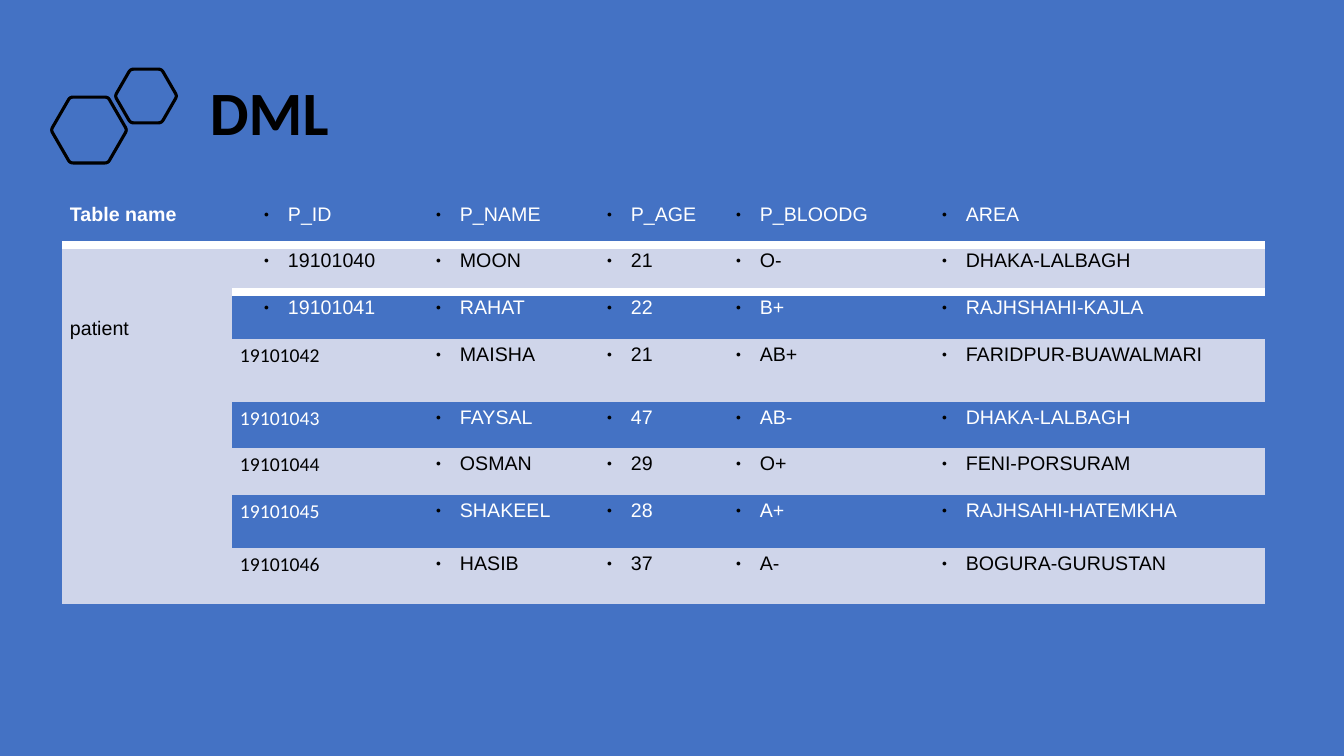
import math
from itertools import accumulate, pairwise

from lxml import etree
from pptx import Presentation, util as u
from pptx.dml.color import RGBColor
from pptx.enum import shapes, text
from pptx.oxml.ns import qn

# Content
TITLE = "DML"
HEADER = ("Table name", "P_ID", "P_NAME", "P_AGE", "P_BLOODG", "AREA")
GROUP = "patient"
PATIENTS = [
    ("19101040", "MOON", "21", "O-", "DHAKA-LALBAGH"),
    ("19101041", "RAHAT", "22", "B+", "RAJHSHAHI-KAJLA"),
    ("19101042", "MAISHA", "21", "AB+", "FARIDPUR-BUAWALMARI"),
    ("19101043", "FAYSAL", "47", "AB-", "DHAKA-LALBAGH"),
    ("19101044", "OSMAN", "29", "O+", "FENI-PORSURAM"),
    ("19101045", "SHAKEEL", "28", "A+", "RAJHSAHI-HATEMKHA"),
    ("19101046", "HASIB", "37", "A-", "BOGURA-GURUSTAN"),
]
C = {"blue": "4472C4", "pale": "CFD5EA", "white": "FFFFFF", "black": "000000"}

# Layout in px
W, H = 1344, 756
HEXAGONS = [(89, 130, 38), (146, 96, 31)]  # centre x, centre y, radius
CORNER = 3
COL_WIDTHS = (170, 196, 171, 129, 206, 331)
ROW_EDGES = (199, 245, 292, 339, 402, 448, 495, 548, 604)
TABLE_LEFT = 62
PAD_X, PAD_Y = 8, 5
INDENT = 24
GROUP_DROP = 68
NO_GRID = "{2D5ABB26-0587-4C30-8999-92F81FD0307C}"


def px(n):
    return u.Emu(round(n * 914400 / 100.8))


def rgb(name):
    return RGBColor.from_string(C[name])


def write(tf, words, size=14, font="Arial", color="black", bold=False, spacing=None):
    p = tf.paragraphs[0]
    p.line_spacing = spacing
    r = p.add_run()
    r.text = words
    r.font.size, r.font.name, r.font.bold = u.Pt(size), font, bold
    r.font.color.rgb = rgb(color)
    return p


def add_bullet(p, left):
    pPr = p._p.get_or_add_pPr()
    pPr.set("marL", str(px(left)))
    pPr.set("indent", str(px(-INDENT)))
    clr = etree.SubElement(pPr, qn("a:buClr"))
    etree.SubElement(clr, qn("a:srgbClr"), val=C["black"])
    etree.SubElement(pPr, qn("a:buSzPct"), val="45000")
    etree.SubElement(pPr, qn("a:buFont"), typeface="Arial")
    etree.SubElement(pPr, qn("a:buChar"), char="●")


def add_border(cell, side):
    tcPr = cell._tc.get_or_add_tcPr()
    ln = etree.Element(qn(f"a:{side}"), w=str(u.Pt(6)))
    fill = etree.SubElement(ln, qn("a:solidFill"))
    etree.SubElement(fill, qn("a:srgbClr"), val=C["white"])
    tcPr.insert(0, ln)


def rounded_hexagon(cx, cy, radius):
    points = []
    for k in range(6):
        a = math.radians(60 * k)
        x, y = cx + radius * math.cos(a), cy + radius * math.sin(a)
        # Points where the two sides leave the corner, then a curve between them
        (x0, y0), (x1, y1) = [
            (x + CORNER * math.cos(a + t), y + CORNER * math.sin(a + t))
            for t in (math.radians(-120), math.radians(120))
        ]
        for t in (0, 0.25, 0.5, 0.75, 1):
            m, n, q = (1 - t) ** 2, 2 * t * (1 - t), t ** 2
            points.append((px(m * x0 + n * x + q * x1), px(m * y0 + n * y + q * y1)))
    return points


prs = Presentation()
prs.slide_width, prs.slide_height = px(W), px(H)
s = prs.slides.add_slide(prs.slide_layouts[6])

# Backdrop
sp = s.shapes.add_shape(shapes.MSO_SHAPE.RECTANGLE, 0, 0, px(W), px(H))
sp.shadow.inherit = False
sp.fill.solid()
sp.fill.fore_color.rgb = rgb("blue")
sp.line.fill.background()

# Title
tf = s.shapes.add_textbox(px(200), px(57), px(1090), px(118)).text_frame
tf.word_wrap = True
tf.vertical_anchor = text.MSO_ANCHOR.MIDDLE
write(tf, TITLE, size=44, font="Calibri", bold=True, spacing=0.9)

# Hexagons
for hexagon in HEXAGONS:
    first, *rest = rounded_hexagon(*hexagon)
    builder = s.shapes.build_freeform(*first)
    builder.add_line_segments(rest, close=True)
    sp = builder.convert_to_shape()
    sp.shadow.inherit = False
    sp.fill.background()
    sp.line.color.rgb = rgb("black")
    sp.line.width = u.Pt(2.25)

# Table
rows = [HEADER] + [(GROUP if i == 0 else "", *row) for i, row in enumerate(PATIENTS)]
top, bottom = ROW_EDGES[0], ROW_EDGES[-1]
table = s.shapes.add_table(len(rows), len(HEADER), px(TABLE_LEFT), px(top),
                           px(sum(COL_WIDTHS)), px(bottom - top)).table
table.first_row = table.horz_banding = False
table._tbl.tblPr.find(qn("a:tableStyleId")).text = NO_GRID
col_edges = [0, *accumulate(COL_WIDTHS)]
for col, (a, b) in zip(table.columns, pairwise(col_edges)):
    col.width = px(b) - px(a)
for row, (a, b) in zip(table.rows, pairwise(ROW_EDGES)):
    row.height = px(b) - px(a)
table.cell(1, 0).merge(table.cell(len(PATIENTS), 0))

for i, row in enumerate(rows):
    for j, words in enumerate(row):
        cell = table.cell(i, j)
        pale = i % 2 == 1 or (j == 0 and i > 0)
        cell.fill.solid()
        cell.fill.fore_color.rgb = rgb("pale" if pale else "blue")
        cell.margin_left = cell.margin_right = px(PAD_X)
        cell.margin_top = cell.margin_bottom = px(PAD_Y)
        if i < 2:
            add_border(cell, "lnT" if i else "lnB")
        if not words:
            continue
        plain_id = j == 1 and i > 2
        p = write(cell.text_frame, words, font="Calibri" if plain_id else "Arial",
                  color="black" if pale else "white", bold=i == j == 0)
        if j > 0 and not plain_id:
            add_bullet(p, 2 * INDENT if j == 1 else INDENT)
table.cell(1, 0).margin_top = px(PAD_Y + GROUP_DROP)

prs.save("out.pptx")
